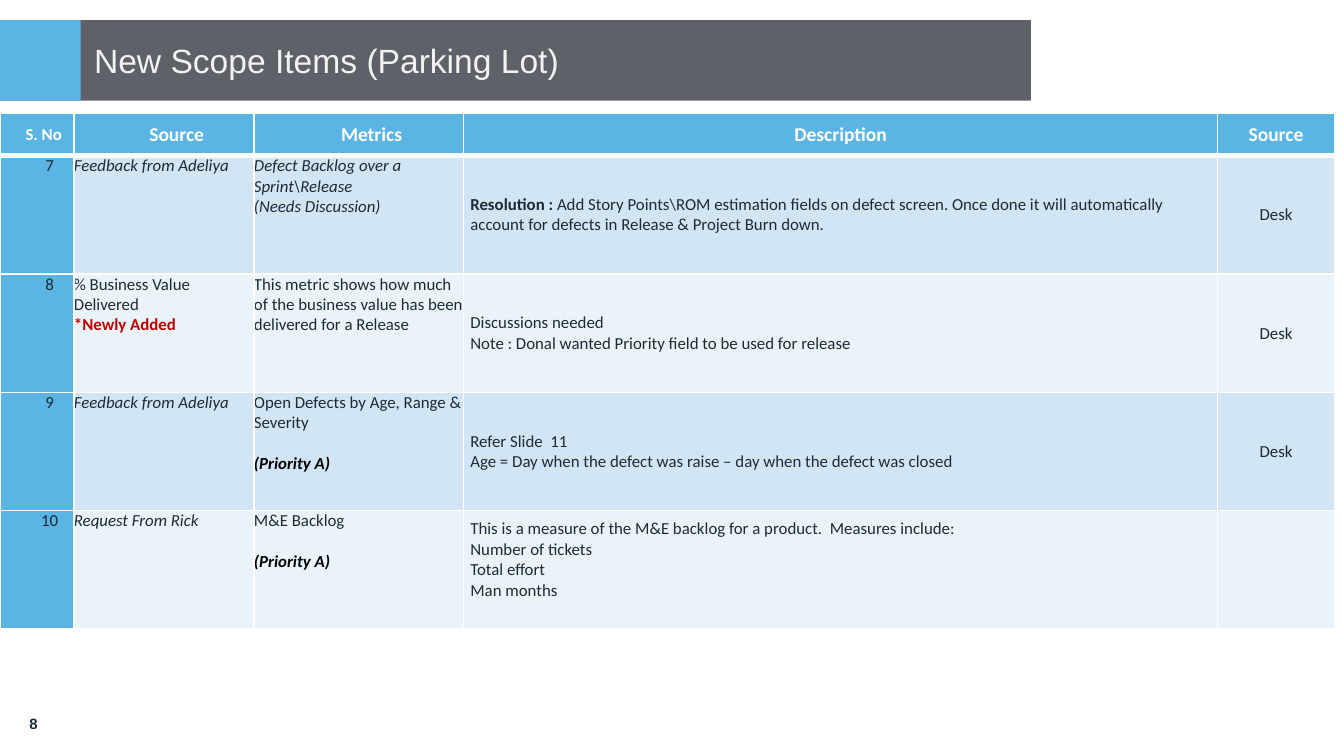
from dataclasses import dataclass

from lxml import etree
from pptx import Presentation
from pptx.dml.color import RGBColor
from pptx.enum import shapes, text
from pptx.oxml import ns
from pptx.util import Inches, Pt


@dataclass(frozen=True)
class Theme:
    blue: str = "5BB5E4"
    grey: str = "5E6167"
    bands: tuple = ("D2E5F5", "EAF3FA")
    white: str = "FFFFFF"
    title: str = "F2F2F2"
    ink: str = "1D2B34"
    red: str = "C00000"
    black: str = "000000"
    heading_font: str = "Arial"
    body_font: str = "Calibri"
    title_size: float = 18
    head_size: float = 10.5
    body_size: float = 9
    number_size: float = 8


T = Theme()
LEFT, CENTER = text.PP_ALIGN.LEFT, text.PP_ALIGN.CENTER
TOP, MIDDLE = text.MSO_ANCHOR.TOP, text.MSO_ANCHOR.MIDDLE

PLAIN = {}
ITALIC = {"italic": True}
BOLD = {"bold": True}
ADDED = {"bold": True, "color": T.red}
PRIORITY = {"bold": True, "italic": True, "color": T.black}

COLS = (0.55, 1.34, 1.56, 5.61, 0.87)
HEADS = ("S. No", "Source", "Metrics", "Description", "Source")
HEAD_HEIGHT, ROW_HEIGHT = 0.32, 0.88
HEAD_INSETS = (0.19, 0.19, 0.19, 0, 0.05)
BODY_INSETS = ((0.19, 0), (0, 0), (0, 0), (0.05, 0.05), (0.05, 0.05))
BODY_ALIGN = (CENTER, LEFT, LEFT, LEFT, CENTER)
BODY_ANCHOR = (TOP, TOP, TOP, MIDDLE, MIDDLE)


def line(wording, style=PLAIN):
    return [(wording, style)]


FEEDBACK = [line("Feedback from Adeliya", ITALIC)]
TRACKER = [line("Desk")]
PRIORITY_A = line("(Priority A)", PRIORITY)
ITEMS = [
    ([line("7")], FEEDBACK,
     [line("Defect Backlog over a Sprint\\Release", ITALIC),
      line("(Needs Discussion)", ITALIC)],
     [[("Resolution : ", BOLD),
       ("Add Story Points\\ROM estimation fields on defect screen. Once done it will "
        "automatically account for defects in Release & Project Burn down.", PLAIN)]],
     TRACKER),
    ([line("8")],
     [line("% Business Value Delivered"), line("*Newly Added", ADDED)],
     [line("This metric shows how much of the business value has been delivered for a Release")],
     [line("Discussions needed"),
      line("Note : Donal wanted Priority field to be used for release")],
     TRACKER),
    ([line("9")], FEEDBACK,
     [line("Open Defects by Age, Range & Severity"), PRIORITY_A],
     [line("Refer Slide  11"),
      line("Age = Day when the defect was raise – day when the defect was closed")],
     TRACKER),
    ([line("10")], [line("Request From Rick", ITALIC)],
     [line("M&E Backlog"), PRIORITY_A],
     [line("This is a measure of the M&E backlog for a product.  Measures include:"),
      line("Number of tickets"), line("Total effort"), line("Man months")],
     []),
]


def style_run(r, size, color=T.ink, font=T.body_font, bold=False, italic=False):
    f = r.font
    f.name, f.size, f.bold, f.italic = font, Pt(size), bold, italic
    f.color.rgb = RGBColor.from_string(color)


def set_insets(box, left, top, right, bottom):
    box.margin_left, box.margin_top = Inches(left), Inches(top)
    box.margin_right, box.margin_bottom = Inches(right), Inches(bottom)


def add_bar(s, x, y, w, h, color):
    sp = s.shapes.add_shape(shapes.MSO_SHAPE.RECTANGLE, Inches(x), Inches(y), Inches(w), Inches(h))
    sp.shadow.inherit = False
    sp.fill.solid()
    sp.fill.fore_color.rgb = RGBColor.from_string(color)
    sp.line.fill.background()


def add_title(s, x, y, w, h, wording):
    add_bar(s, x, y, w, h, T.grey)
    add_bar(s, x, y, h, h, T.blue)
    sp = s.shapes.title
    sp.element.getparent().append(sp.element)
    sp.left, sp.top, sp.width, sp.height = Inches(x + h), Inches(y), Inches(w - h), Inches(h)
    tf = sp.text_frame
    tf.text = wording
    tf.word_wrap = True
    tf.vertical_anchor = MIDDLE
    set_insets(tf, 0.1, 0.01, 0.1, 0.01)
    p = tf.paragraphs[0]
    p.alignment = LEFT
    style_run(p.runs[0], T.title_size, T.title, T.heading_font)


def set_borders(cell, bottom=1):
    tcPr = cell._tc.get_or_add_tcPr()
    for side, width in (("L", 1), ("R", 1), ("T", 1), ("B", bottom)):
        ln = etree.SubElement(tcPr, ns.qn(f"a:ln{side}"), w=str(Pt(width)))
        fill = etree.SubElement(ln, ns.qn("a:solidFill"))
        etree.SubElement(fill, ns.qn("a:srgbClr"), val=T.white)


def fill_cell(cell, color, anchor, insets, bottom=1):
    set_borders(cell, bottom)
    cell.fill.solid()
    cell.fill.fore_color.rgb = RGBColor.from_string(color)
    cell.vertical_anchor = anchor
    set_insets(cell, *insets)


def write_lines(tf, lines, align):
    for i, parts in enumerate(lines):
        p = tf.add_paragraph() if i else tf.paragraphs[0]
        p.alignment = align
        if parts is PRIORITY_A:
            p.space_before = Pt(11)
        for wording, style in parts:
            r = p.add_run()
            r.text = wording
            style_run(r, T.body_size, **style)


def add_items(s, x, y):
    height = HEAD_HEIGHT + ROW_HEIGHT * len(ITEMS)
    table = s.shapes.add_table(len(ITEMS) + 1, len(COLS), Inches(x), Inches(y),
                               Inches(sum(COLS)), Inches(height)).table
    for col, width in zip(table.columns, COLS):
        col.width = Inches(width)
    for i, row in enumerate(table.rows):
        row.height = Inches(ROW_HEIGHT if i else HEAD_HEIGHT)

    for c, wording in enumerate(HEADS):
        cell = table.cell(0, c)
        fill_cell(cell, T.blue, MIDDLE, (HEAD_INSETS[c], 0, 0.05 if c == 4 else 0, 0), 3)
        cell.text_frame.text = wording
        p = cell.text_frame.paragraphs[0]
        p.alignment = CENTER if c else LEFT
        style_run(p.runs[0], T.head_size if c else T.body_size, T.white, bold=True)

    for i, item in enumerate(ITEMS):
        for c, lines in enumerate(item):
            cell = table.cell(i + 1, c)
            left, right = BODY_INSETS[c]
            bottom = 0.15 if len(lines) == 4 else 0
            color = T.bands[i % 2] if c else T.blue
            fill_cell(cell, color, BODY_ANCHOR[c], (left, 0, right, bottom))
            write_lines(cell.text_frame, lines, BODY_ALIGN[c])


def add_page_number(s, x, y, w, h, number):
    tf = s.shapes.add_textbox(Inches(x), Inches(y), Inches(w), Inches(h)).text_frame
    tf.word_wrap = True
    tf.vertical_anchor = MIDDLE
    tf.text = number
    p = tf.paragraphs[0]
    p.alignment = CENTER
    style_run(p.runs[0], T.number_size, font=T.heading_font, bold=True)


def main():
    prs = Presentation()
    prs.slide_width = Inches(10)
    prs.slide_height = prs.slide_width * 9 // 16
    s = prs.slides.add_slide(prs.slide_layouts[5])
    add_title(s, 0, 0.15, 7.67, 0.6, "New Scope Items (Parking Lot)")
    add_page_number(s, 0, 5.14, 0.5, 0.48, "8")
    add_items(s, 0, 0.84)
    prs.save("out.pptx")


if __name__ == "__main__":
    main()
